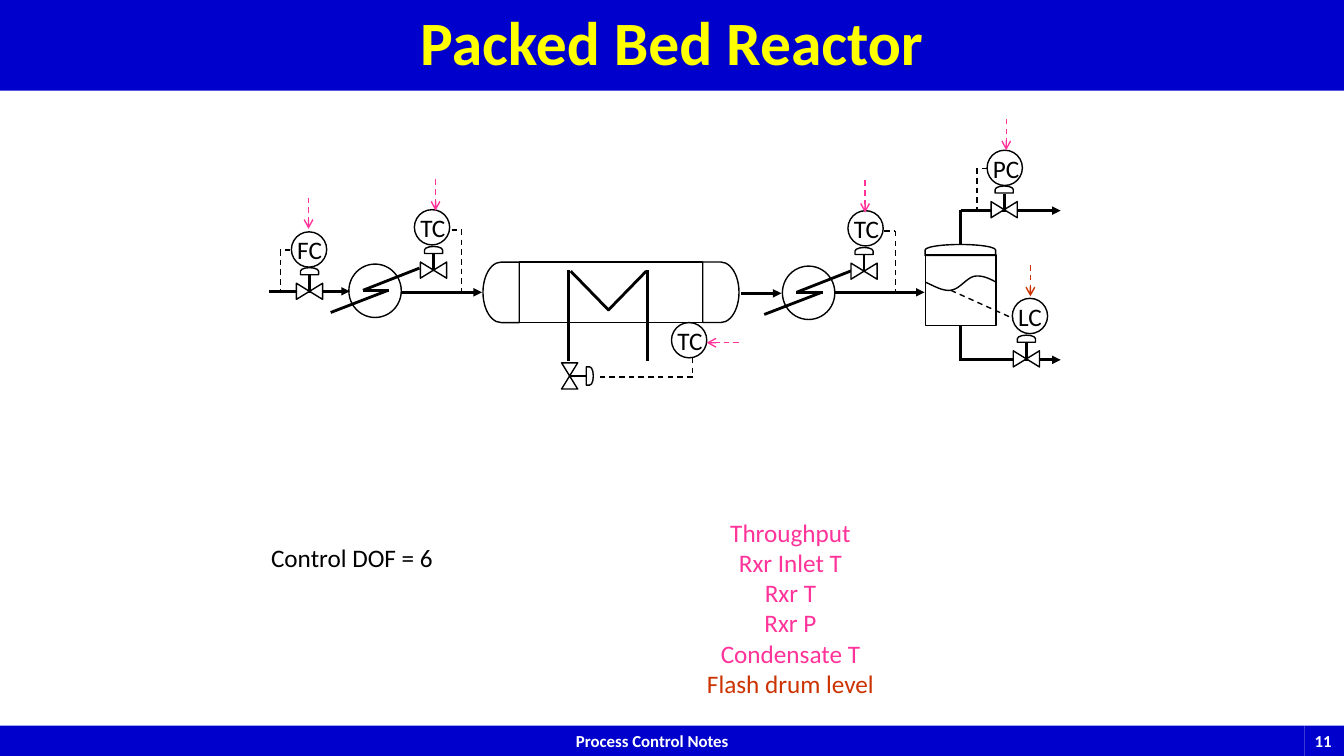
import dataclasses
import typing

import pptx
import pptx.dml.color
import pptx.enum.dml
import pptx.enum.shapes
import pptx.enum.text
import pptx.oxml
import pptx.oxml.ns
import pptx.util

Inches = pptx.util.Inches
KIND = pptx.enum.shapes.MSO_SHAPE
ALIGN = pptx.enum.text.PP_ALIGN
ANCHOR = pptx.enum.text.MSO_ANCHOR
Point = tuple[float, float]
Box = tuple[float, float, float, float]

COLORS = {
    "black": "000000",
    "white": "FFFFFF",
    "blue": "0000CC",
    "yellow": "FFFF00",
    "pink": "FF3399",
    "rust": "CC3300",
}


@dataclasses.dataclass
class Line:
    start: Point
    end: Point
    head: str = ""
    color: str = "black"
    width: float = 2
    dash: bool = False


@dataclasses.dataclass
class Valve:
    x: float
    y: float
    side: bool = False


@dataclasses.dataclass
class Loop:
    name: str
    x: float
    y: float
    signal: list[Point]
    start: Point
    end: Point
    color: str = "pink"


@dataclasses.dataclass
class Banner:
    text: str
    box: Box
    size: float
    color: str = "white"
    align: typing.Any = ALIGN.CENTER
    anchor: typing.Any = ANCHOR.TOP
    space: float = 1.0
    wrap: bool = True


VALVES = [
    Valve(3.07, 2.89), Valve(4.3, 2.68), Valve(8.57, 2.69),
    Valve(9.96, 2.08), Valve(10.18, 3.56), Valve(5.65, 3.73, True),
]
LOOPS = [
    Loop("FC", 2.89, 2.3, [(2.88, 2.48), (2.78, 2.48), (2.78, 2.89)], (3.06, 1.96), (3.06, 2.27)),
    Loop("TC", 4.11, 2.08, [(4.48, 2.28), (4.58, 2.28), (4.58, 2.89)], (4.32, 1.78), (4.32, 2.09)),
    Loop("TC", 8.41, 2.09, [(8.77, 2.29), (8.88, 2.29), (8.88, 2.9)], (8.58, 1.79), (8.58, 2.11)),
    Loop("TC", 6.66, 3.2, [(6.87, 3.55), (6.87, 3.74), (5.91, 3.74)], (7.33, 3.4), (7.01, 3.4)),
    Loop("PC", 9.79, 1.49, [(9.79, 1.67), (9.69, 1.67), (9.69, 2.1)], (9.98, 1.18), (9.98, 1.49)),
    Loop("LC", 10.04, 2.96, [(9.43, 2.88), (10.05, 3.16)], (10.22, 2.63), (10.22, 2.94), "rust"),
]
PIPES = [
    Line((2.67, 2.89), (3.47, 2.89), "triangle"),
    Line((3.98, 2.9), (4.78, 2.9), "triangle"),
    Line((7.35, 2.91), (7.75, 2.91), "triangle"),
    Line((8.27, 2.9), (9.17, 2.9), "triangle"),
    Line((9.53, 3.57), (10.52, 3.57), "triangle"),
    Line((9.53, 3.58), (9.53, 3.23)),
    Line((9.53, 2.09), (10.52, 2.09), "triangle"),
    Line((9.53, 2.08), (9.53, 2.43)),
    Line((6.42, 2.68), (6.42, 3.58)),
    Line((5.64, 2.68), (5.64, 3.58)),
    Line((5.66, 2.69), (6.04, 3.08)),
    Line((6.41, 2.69), (6.03, 3.08)),
]
COILS = [((0.7, 0.04), (0.14, 0.26)), ((0.4, 0.26), (0.14, 0.26)), ((0.39, 0.26), (-0.18, 0.48))]
WAVE = [
    ((9.18, 2.8), (9.27, 2.84), (9.35, 2.89), (9.43, 2.88)),
    ((9.43, 2.88), (9.52, 2.87), (9.59, 2.75), (9.67, 2.74)),
    ((9.67, 2.74), (9.74, 2.73), (9.81, 2.76), (9.88, 2.8)),
]
BANNERS = [
    Banner("Process Control Notes", (0, 7.2, 12.94, 0.3), 12),
    Banner("11", (12.94, 7.2, 0.4, 0.3), 12, align=ALIGN.LEFT, wrap=False),
    Banner("Packed Bed Reactor", (0, 0, 13.33, 0.9), 44, "yellow", anchor=ANCHOR.MIDDLE, space=0.9),
]
GOALS = ["Throughput", "Rxr Inlet T", "Rxr T", "Rxr P", "Condensate T", "Flash drum level"]


def paint(name: str) -> pptx.dml.color.RGBColor:
    return pptx.dml.color.RGBColor.from_string(COLORS[name])


def style(para: typing.Any, size: float, color: str, bold: bool = False) -> None:
    para.font.name = "Calibri"
    para.font.size = pptx.util.Pt(size)
    para.font.bold = bold
    para.font.color.rgb = paint(color)


def trim(shape: typing.Any, fill: str = "") -> None:
    shape.shadow.inherit = False
    if fill:
        shape.fill.solid()
        shape.fill.fore_color.rgb = paint(fill)
    else:
        shape.fill.background()
    shape.line.color.rgb = paint("black")
    shape.line.width = pptx.util.Pt(1)


def draw(shapes: typing.Any, kind: typing.Any, box: Box, fill: str = "", turn: float = 0) -> typing.Any:
    shape = shapes.add_shape(kind, *map(Inches, box))
    trim(shape, fill)
    shape.rotation = turn
    return shape


def link(shapes: typing.Any, line: Line) -> None:
    ends = map(Inches, (*line.start, *line.end))
    wire = shapes.add_connector(pptx.enum.shapes.MSO_CONNECTOR.STRAIGHT, *ends)
    wire.line.color.rgb = paint(line.color)
    wire.line.width = pptx.util.Pt(line.width)
    if line.dash:
        wire.line.dash_style = pptx.enum.dml.MSO_LINE.DASH
    props = wire.element.spPr
    make = pptx.oxml.ns.qn
    if line.head:
        tip = props.find(make("a:ln")).makeelement(make("a:tailEnd"), {"type": line.head})
        props.find(make("a:ln")).append(tip)
    props.append(props.makeelement(make("a:effectLst"), {}))


def write(shapes: typing.Any, lines: list[str], box: Box, align: typing.Any, color: str) -> typing.Any:
    frame = shapes.add_textbox(*map(Inches, box)).text_frame
    frame.word_wrap = False
    frame.text = "\n".join(lines)
    for para in frame.paragraphs:
        para.alignment = align
        style(para, 18, color)
    return frame


def label(shapes: typing.Any, item: Banner) -> None:
    shape = draw(shapes, KIND.RECTANGLE, item.box, "blue")
    shape.line.fill.background()
    frame = shape.text_frame
    frame.word_wrap = item.wrap
    frame.vertical_anchor = item.anchor
    frame.text = item.text
    para = frame.paragraphs[0]
    para.alignment = item.align
    para.line_spacing = item.space
    style(para, item.size, item.color, True)


def heat(shapes: typing.Any, x: float, y: float) -> None:
    draw(shapes, KIND.OVAL, (x, y, 0.52, 0.53))
    for (ax, ay), (bx, by) in COILS:
        link(shapes, Line((x + ax, y + ay), (x + bx, y + by)))


def valve(shapes: typing.Any, item: Valve) -> None:
    dx, dy, turn = (1, 0, 0) if item.side else (0, -1, 270)
    x, y = item.x, item.y
    draw(shapes, KIND.FLOWCHART_COLLATE, (x - 0.08, y - 0.13, 0.16, 0.26), "white", turn)
    cap = (x + 0.2 * dx - 0.035, y + 0.2 * dy - 0.09, 0.07, 0.18)
    draw(shapes, KIND.FLOWCHART_DELAY, cap, turn=turn)
    link(shapes, Line((x, y), (x + 0.16 * dx, y + 0.16 * dy)))


def loop(shapes: typing.Any, item: Loop) -> None:
    write(shapes, [item.name], (item.x - 0.04, item.y - 0.02, 0.5, 0.4), ALIGN.LEFT, "black")
    draw(shapes, KIND.OVAL, (item.x, item.y, 0.35, 0.35))
    for start, end in zip(item.signal, item.signal[1:]):
        link(shapes, Line(start, end, width=1, dash=True))
    link(shapes, Line(item.start, item.end, "arrow", item.color, 1, True))


def curve(shapes: typing.Any, parts: list[tuple[Point, Point, Point, Point]], steps: int = 12) -> None:
    spots = []
    for part in parts:
        for step in range(1, steps + 1):
            t = step / steps
            rates = ((1 - t) ** 3, 3 * t * (1 - t) ** 2, 3 * t * t * (1 - t), t ** 3)
            spots.append(tuple(Inches(sum(r * p[k] for r, p in zip(rates, part))) for k in (0, 1)))
    form = shapes.build_freeform(*map(Inches, parts[0][0]))
    form.add_line_segments(spots, close=False)
    trim(form.convert_to_shape())


def main() -> None:
    deck = pptx.Presentation()
    deck.slide_width, deck.slide_height = Inches(13.33), Inches(7.5)
    shapes = deck.slides.add_slide(deck.slide_layouts[6]).shapes
    for item in BANNERS:
        label(shapes, item)
    heat(shapes, 3.46, 2.62)
    heat(shapes, 7.76, 2.64)
    draw(shapes, KIND.RECTANGLE, (9.18, 2.53, 0.7, 0.7))
    draw(shapes, KIND.FLOWCHART_DELAY, (9.47, 2.13, 0.11, 0.7), turn=270)
    curve(shapes, WAVE)
    draw(shapes, KIND.RECTANGLE, (5.15, 2.6, 1.82, 0.6))
    draw(shapes, KIND.FLOWCHART_DELAY, (6.97, 2.6, 0.36, 0.6))
    draw(shapes, KIND.FLOWCHART_DELAY, (4.79, 2.6, 0.36, 0.6), turn=180)
    for pipe in PIPES:
        link(shapes, pipe)
    for item in VALVES:
        valve(shapes, item)
    for item in LOOPS:
        loop(shapes, item)
    write(shapes, ["Control DOF = 6"], (2.59, 5.33, 1.94, 0.4), ALIGN.LEFT, "black")
    goals = write(shapes, GOALS, (6.9, 5.08, 1.88, 1.92), ALIGN.CENTER, "pink")
    goals.paragraphs[-1].font.color.rgb = paint("rust")
    deck.save("out.pptx")


if __name__ == "__main__":
    main()
